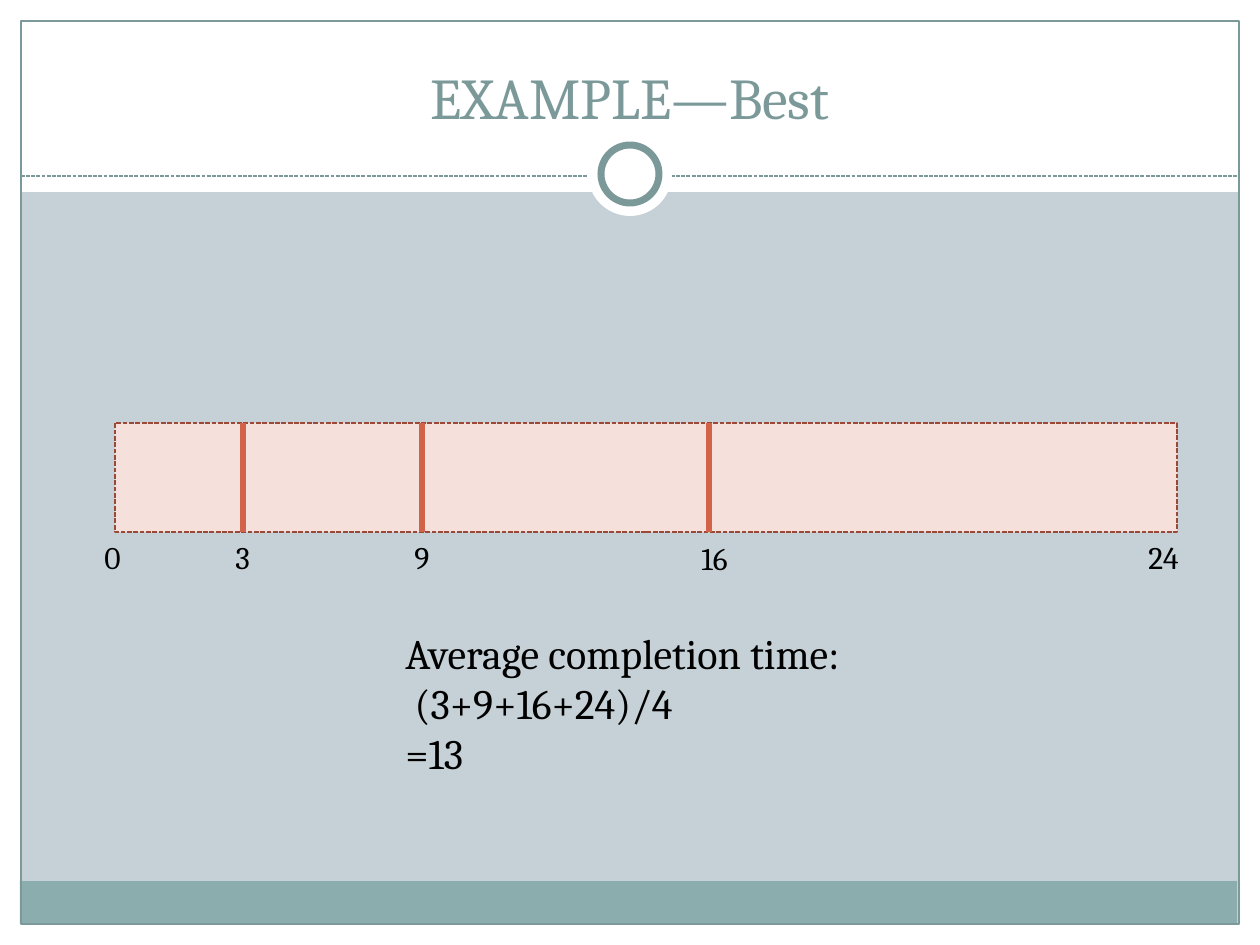
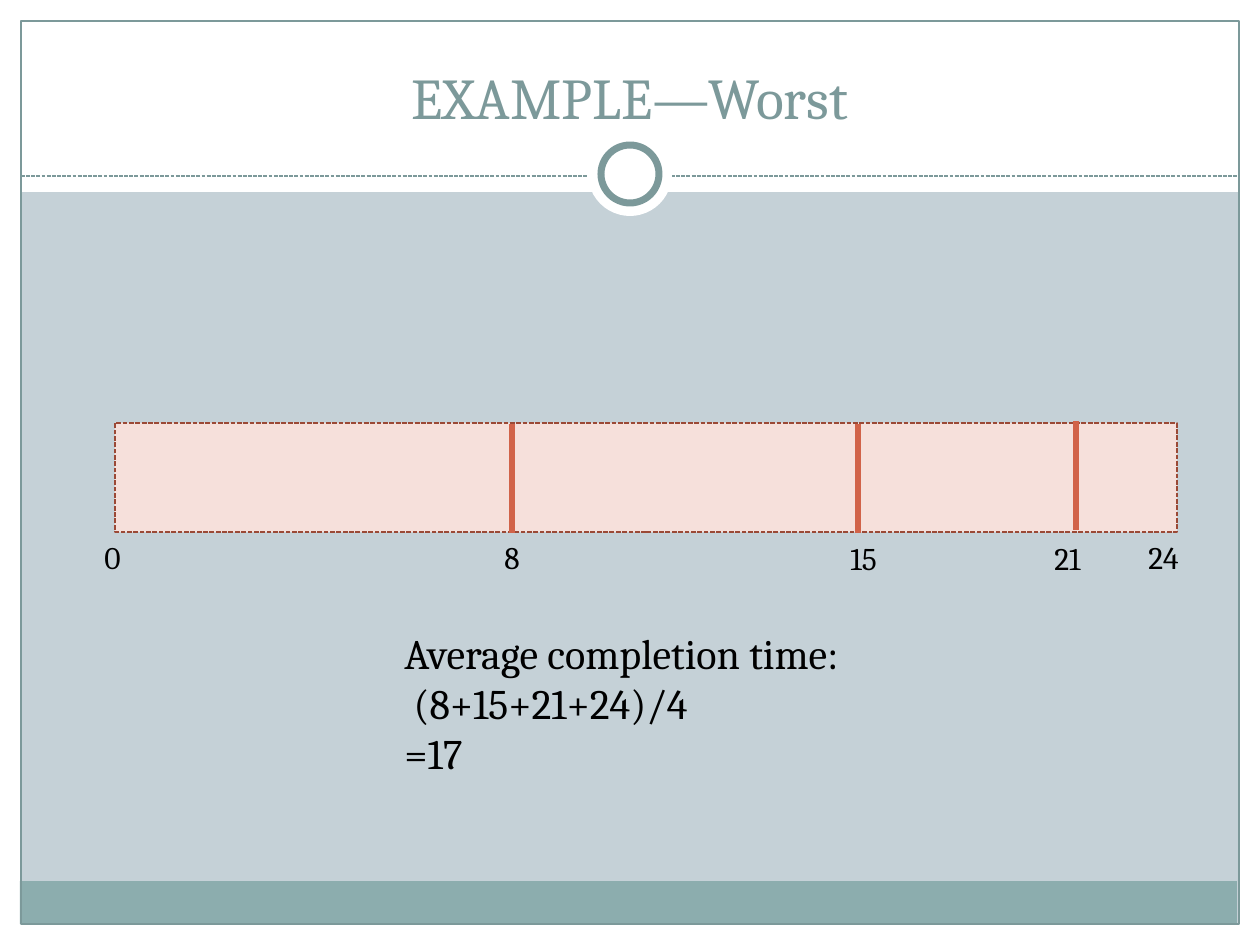
from lxml import etree
from pptx import Presentation
from pptx.dml.color import RGBColor
from pptx.enum.dml import MSO_LINE
from pptx.enum.shapes import MSO_CONNECTOR, MSO_SHAPE
from pptx.enum.text import MSO_ANCHOR, MSO_AUTO_SIZE, PP_ALIGN
from pptx.oxml.ns import qn
from pptx.util import Emu, Pt

RECT, OVAL = MSO_SHAPE.RECTANGLE, MSO_SHAPE.OVAL
STRAIGHT, SYS_DASH = MSO_CONNECTOR.STRAIGHT, MSO_LINE.SQUARE_DOT
FIT_SHAPE, NO_FIT = MSO_AUTO_SIZE.SHAPE_TO_FIT_TEXT, MSO_AUTO_SIZE.NONE
CENTER, BOTTOM = PP_ALIGN.CENTER, MSO_ANCHOR.BOTTOM

W, H, MARGIN = 1260, 945, 21
FONT = "Cambria"
BACKGROUND, WHITE, BLACK = "C5D1D7", "FFFFFF", "000000"
TEAL, FOOTER = "7C999A", "8CADAE"
BAR_FILL, BAR_LINE, TICK = "F6E0DB", "9B4936", "D16349"

TITLE_BOX = (42, 32, 1176, 105)
BAR_BOX = (115, 423, 1062, 109)


def px(n):
    return Emu(round(n * 914400 / 126))


def rgb(value):
    return RGBColor.from_string(value)


def set_line(line, color, width, dash=None):
    line.color.rgb = rgb(color)
    line.width = Pt(width)
    if dash:
        line.dash_style = dash


def add_shape(s, kind, box, fill=None, line=None):
    sp = s.shapes.add_shape(kind, *map(px, box))
    sp.shadow.inherit = False
    if fill:
        sp.fill.solid()
        sp.fill.fore_color.rgb = rgb(fill)
    else:
        sp.fill.background()
    if line:
        set_line(sp.line, *line)
    else:
        sp.line.fill.background()
    return sp


def add_line(s, x1, y1, x2, y2, *line):
    cx = s.shapes.add_connector(STRAIGHT, *map(px, (x1, y1, x2, y2)))
    set_line(cx.line, *line)
    etree.SubElement(cx.element.spPr, qn("a:effectLst"))
    return cx


def format_text(tf, size, color):
    for p in tf.paragraphs:
        for r in p.runs:
            r.font.name = FONT
            r.font.size = Pt(size)
            r.font.color.rgb = rgb(color)


def add_text(s, box, text, size, wrap=True):
    tf = s.shapes.add_textbox(*map(px, box)).text_frame
    tf.text = text
    tf.word_wrap = wrap
    tf.auto_size = FIT_SHAPE
    format_text(tf, size, BLACK)


def add_frame(s, layout):
    mid = W // 2
    parts = [
        add_shape(s, RECT, (0, H - MARGIN, W, MARGIN), WHITE),
        add_shape(s, RECT, (0, 0, W, 192), WHITE),
        add_shape(s, RECT, (0, 0, MARGIN, H), WHITE),
        add_shape(s, RECT, (W - MARGIN, 0, MARGIN, H), WHITE),
        add_shape(s, RECT, (20, 881, 1217, 43), FOOTER),
        add_shape(s, RECT, (MARGIN, MARGIN, W - 2 * MARGIN, H - 2 * MARGIN),
                  line=(TEAL, 0.75)),
        add_line(s, MARGIN, 176, W - MARGIN, 176, TEAL, 0.75, SYS_DASH),
        add_shape(s, OVAL, (mid - 42, 132, 84, 84), WHITE),
        add_shape(s, OVAL, (mid - 29, 145, 58, 58), WHITE, (TEAL, 4)),
    ]
    for i, part in enumerate(parts):
        part.element.xpath(".//p:cNvPr")[0].set("id", str(100 + i))
        layout.shapes.element.insert(2 + i, part.element)


def set_title(s, box, text):
    sp = s.shapes.title
    sp.left, sp.top, sp.width, sp.height = map(px, box)
    tf = sp.text_frame
    tf.text = text
    tf.auto_size = NO_FIT
    tf.vertical_anchor = BOTTOM
    tf.paragraphs[0].alignment = CENTER
    format_text(tf, 33, TEAL)


def add_timeline(s, box, ticks):
    x, y, w, h = box
    add_shape(s, RECT, box, BAR_FILL, (BAR_LINE, 0.9, SYS_DASH))
    for _, dx, dy, _, _ in ticks:
        add_line(s, x + dx, y + dy, x + dx, y + dy + h, TICK, 3)
    add_text(s, (x - 23, y + h, 45, 50), "0", 18, wrap=False)
    for time, dx, _, inset, width in ticks:
        drop = len(time) - 1
        add_text(s, (x + dx - inset, y + h + drop, width, 50), time, 18)
    add_text(s, (x + w - 41, y + h, 79, 50), "24", 18)


def build_example(s, case, ticks, result_left, average):
    set_title(s, TITLE_BOX, f"EXAMPLE—{case}")
    add_timeline(s, BAR_BOX, ticks)
    times = "+".join([tick[0] for tick in ticks] + ["24"])
    text = f"Average completion time:\n ({times})/4\n={average}"
    add_text(s, (result_left, 621, 507, 165), text, 24, wrap=False)


# Each tick: time, offset along the bar, vertical shift, label inset, label width
EXAMPLES = [
    ("Best", [("3", 128, 0, 20, 39), ("9", 307, 0, 20, 39),
              ("16", 594, 0, 20, 69)], 393, 13),
    ("Worst", [("8", 397, 1, 20, 39), ("15", 743, 1, 20, 59),
               ("21", 961, -2, 34, 69)], 392, 17),
]

prs = Presentation()
prs.slide_width, prs.slide_height = px(W), px(H)
layout = prs.slide_layouts[5]
fill = prs.slide_master.background.fill
fill.solid()
fill.fore_color.rgb = rgb(BACKGROUND)

slides = [prs.slides.add_slide(layout) for _ in EXAMPLES]
add_frame(slides[0], layout)
for s, example in zip(slides, EXAMPLES):
    build_example(s, *example)

prs.save("out.pptx")
